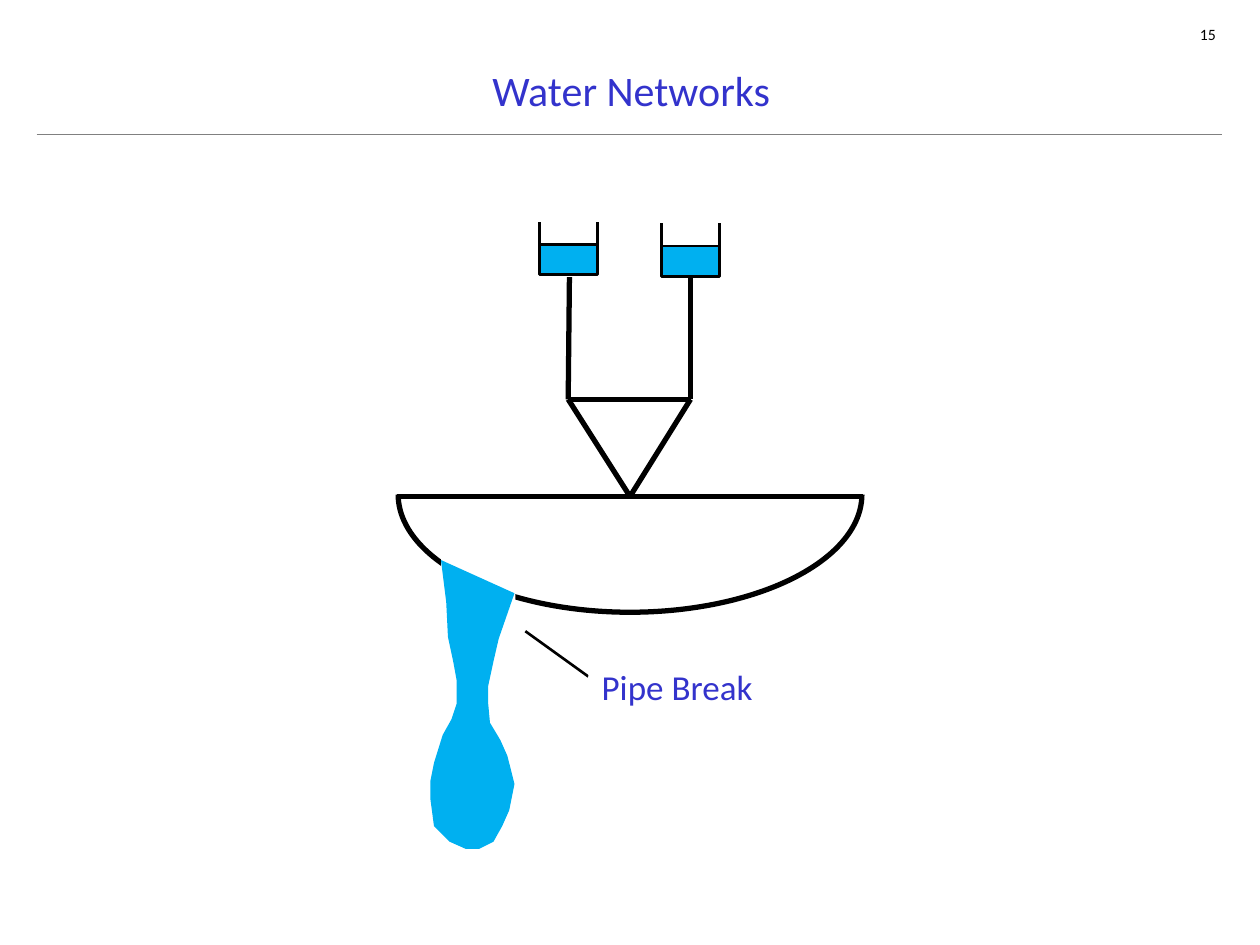
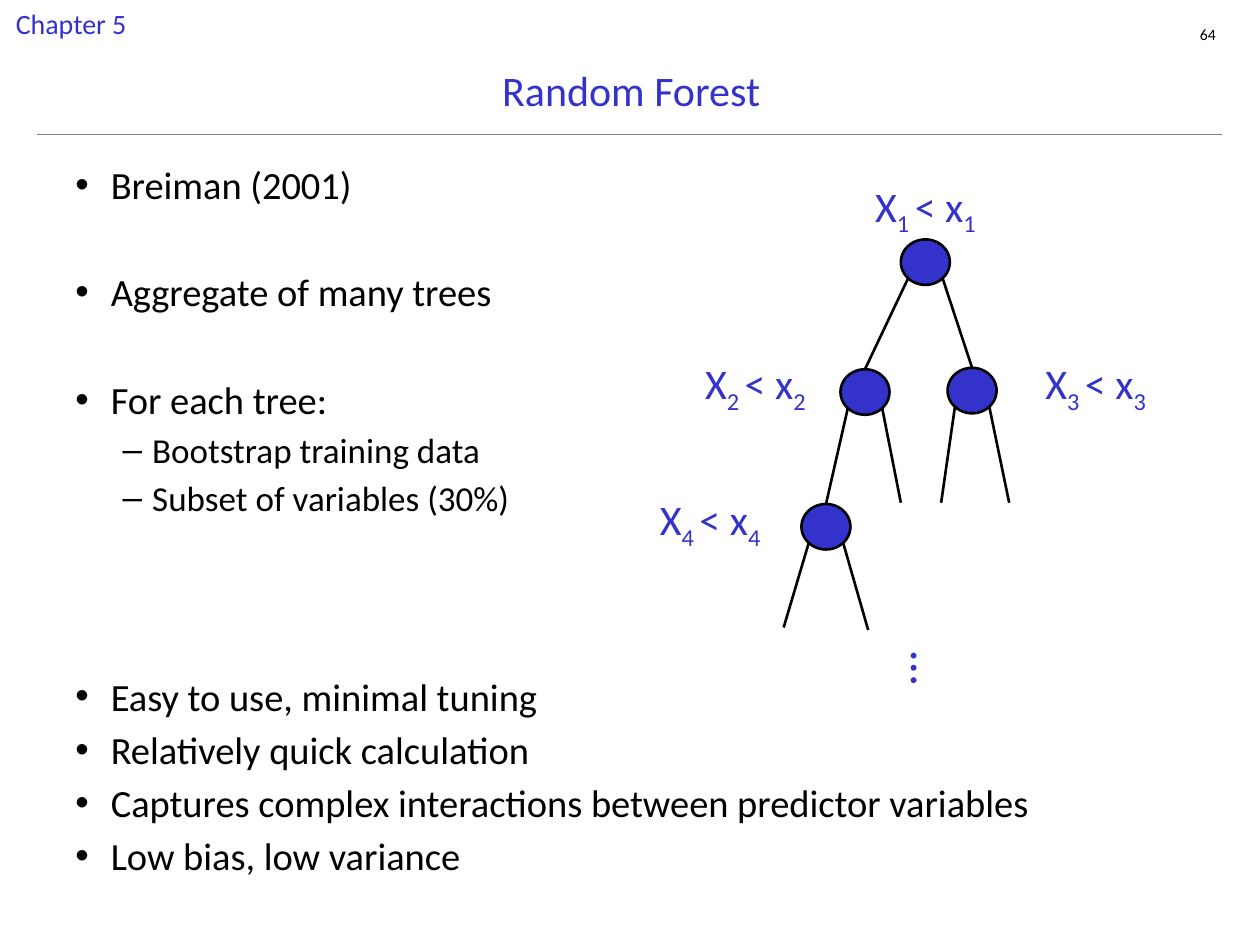
import pptx
import pptx.util
import pptx.dml.color
import pptx.enum.shapes
import pptx.enum.text
import pptx.oxml.ns
from lxml import etree

Pt = pptx.util.Pt
RGB = pptx.dml.color.RGBColor
SHAPE = pptx.enum.shapes.MSO_SHAPE
ALIGN = pptx.enum.text.PP_ALIGN
ANCHOR = pptx.enum.text.MSO_ANCHOR
qn = pptx.oxml.ns.qn

BLUE = RGB(0x33, 0x33, 0xCC)
WATER = RGB(0x00, 0xB0, 0xF0)
BLACK = RGB(0, 0, 0)
WHITE = RGB(255, 255, 255)
GRAY = RGB(0x80, 0x80, 0x80)
FONT = "Calibri"

# Water network: joints, pipes between them, tanks and the leak
JOINTS = {
    "tank1": (325.4, 158.4), "tank2": (394.6, 159.1),
    "left": (324.7, 228.2), "right": (394.6, 228.2),
    "low": (360, 283.7), "west": (226.8, 283.7), "east": (493.2, 283.7),
}
PIPES = [
    ("tank2", "right"), ("tank1", "left"), ("west", "low"), ("left", "right"),
    ("left", "low"), ("right", "low"), ("low", "east"),
]
TANKS = [(308.2, 126.7), (378, 127.6)]
LEAK = [
    (252, 319.7), (254.9, 344.2), (255.6, 363.6), (259.2, 378),
    (260.6, 388.8), (260.6, 401.8), (258.5, 411.1), (252.7, 420.5),
    (248.4, 435.6), (246.2, 446.4), (245.5, 457.2), (248.4, 471.6),
    (257, 481), (266.4, 485.3), (273.6, 485.3), (281.5, 481),
    (286.6, 472.3), (290.9, 463), (293.8, 447.8), (290.2, 432),
    (285.8, 422.6), (280.1, 412.6), (278.6, 402.5), (279.4, 391.7),
    (282.2, 378), (285.1, 365), (294.5, 339.1),
]

# Forest: (level, space before, text)
POINTS = [
    (0, 0, "Breiman (2001)"),
    (0, 34.9, "Aggregate of many trees"),
    (0, 34.9, "For each tree:"),
    (1, 3.6, "Bootstrap training data"),
    (1, 3.6, "Subset of variables (30%)"),
    (0, 88, "Easy to use, minimal tuning"),
    (0, 4, "Relatively quick calculation"),
    (0, 4, "Captures complex interactions between predictor variables"),
    (0, 4, "Low bias, low variance"),
]
LEVELS = [("•", 22, 20.25, -20.25), ("–", 20, 43.9, -16.9)]  # mark, size, indents

# Tree node: top centre, label corner, and two branches (node or loose end)
NODES = {
    1: ((528.8, 136.8), (486, 99.4), (2, 3)),
    2: ((494.3, 211), (388.8, 200.9), (4, (514.8, 287.3))),
    3: ((555.5, 210.2), (583.2, 200.9), ((537.8, 287.3), (576.7, 287.3))),
    4: ((472, 288), (362.9, 278.6), ((447.8, 358.6), (496.1, 360))),
}
NODE_W, NODE_H = 28, 26
CORNER = 0.35  # share of the diameter from centre to a 45° point


def line(slide, start, end, width, color=BLACK):
    ends = [Pt(v) for v in (*start, *end)]
    rule = slide.shapes.add_connector(
        pptx.enum.shapes.MSO_CONNECTOR.STRAIGHT, *ends)
    rule.line.color.rgb = color
    rule.line.width = Pt(width)
    etree.SubElement(rule._element.spPr, qn("a:effectLst"))


def paint(item, fill=None, width=0):
    """Set fill and outline, and drop the shadow."""
    item.shadow.inherit = False
    if fill is None:
        item.fill.background()
    else:
        item.fill.solid()
        item.fill.fore_color.rgb = fill
    if width:
        item.line.color.rgb = BLACK
        item.line.width = Pt(width)
    else:
        item.line.fill.background()


def shape(slide, kind, box, fill=None, width=0):
    item = slide.shapes.add_shape(kind, *[Pt(v) for v in box])
    paint(item, fill, width)
    return item


def style(run, size, color):
    run.font.name = FONT
    run.font.size = Pt(size)
    run.font.color.rgb = color


def text(slide, box, words, size, color=BLUE, align=ALIGN.CENTER,
         wrap=False, fill=None):
    """Add a text box; words is a list of runs."""
    item = slide.shapes.add_textbox(*[Pt(v) for v in box])
    if fill is not None:
        item.fill.solid()
        item.fill.fore_color.rgb = fill
    frame = item.text_frame
    frame.word_wrap = wrap
    para = frame.paragraphs[0]
    para.alignment = align
    for word in words:
        run = para.add_run()
        run.text = word
        style(run, size, color)
    return frame


def base(deck, title, number):
    """Add a slide with its title, rule and page number."""
    slide = deck.slides.add_slide(deck.slide_layouts[6])
    page = text(slide, (644.4, 14.4, 50.4, 10.8), [number], 9, BLACK,
                ALIGN.RIGHT, True)
    page.margin_left = page.margin_right = 0
    page.margin_top = page.margin_bottom = 0
    line(slide, (20.9, 77), (698.4, 77), 0.75, GRAY)
    head = text(slide, (36.7, 31.7, 648, 39.6), [title], 24, wrap=True)
    head.vertical_anchor = ANCHOR.MIDDLE
    return slide


def tank(slide, left, top):
    wide, deep = 33.1, 21.6
    shape(slide, SHAPE.RECTANGLE, (left, top + 13, wide, 17.3), WATER, 1.5)
    for x in (left, left + wide):
        line(slide, (x, top + deep), (x, top), 1.5)


def water(deck):
    slide = base(deck, "Water Networks", "15")
    arc = shape(slide, SHAPE.ARC, (227.5, 215.3, 265, 134.6), width=3)
    arc.adjustments[0] = 0
    arc.adjustments[1] = 108
    for start, end in PIPES:
        line(slide, JOINTS[start], JOINTS[end], 3)
    line(slide, (300.2, 360.7), (336.2, 386.6), 1.5)
    text(slide, (336.2, 376.6, 101.5, 31.7), ["Pipe Break"], 20, fill=WHITE)
    shape(slide, SHAPE.RECTANGLE, (252, 315.4, 42.5, 34.6), WHITE)
    pen = slide.shapes.build_freeform(*LEAK[0], scale=Pt(1))
    pen.add_line_segments(LEAK[1:], close=True)
    paint(pen.convert_to_shape(), WATER)
    for left, top in TANKS:
        tank(slide, left, top)


def bullets(slide):
    frame = text(slide, (36, 88.6, 648, 424.8), [], 22, wrap=True)
    for i, (level, gap, words) in enumerate(POINTS):
        para = frame.add_paragraph() if i else frame.paragraphs[0]
        mark, size, left, hang = LEVELS[level]
        para.text = words
        para.alignment = ALIGN.LEFT
        para.level = level
        if gap:
            para.space_before = Pt(gap)
        props = para._p.get_or_add_pPr()
        props.set("marL", str(Pt(left)))
        props.set("indent", str(Pt(hang)))
        etree.SubElement(props, qn("a:buFont")).set("typeface", "Arial")
        etree.SubElement(props, qn("a:buChar")).set("char", mark)
        style(para.runs[0], size, BLACK)


def tree(slide):
    for key, (_, spot, _) in NODES.items():
        frame = text(slide, (*spot, 85.7, 36),
                     ["X", f"{key} ", "< x", f"{key}"], 24, fill=WHITE)
        for run in frame.paragraphs[0].runs[1::2]:
            run._r.get_or_add_rPr().set("baseline", "-25000")
    for (x, y), _, limbs in NODES.values():
        shape(slide, SHAPE.OVAL, (x - NODE_W / 2, y, NODE_W, NODE_H), BLUE, 1.5)
        for side, limb in zip((-1, 1), limbs):
            start = (x + side * CORNER * NODE_W, y + (0.5 + CORNER) * NODE_H)
            line(slide, start, NODES[limb][0] if limb in NODES else limb, 1.5)
    dots = text(slide, (504, 365, 48.2, 35.3), ["…"], 28)
    dots._txBody.bodyPr.set("vert", "eaVert")


def forest(deck):
    slide = base(deck, "Random Forest", "64")
    bullets(slide)
    text(slide, (0, 0, 81.4, 26.6), ["Chapter 5"], 16, fill=WHITE)
    tree(slide)


def main():
    deck = pptx.Presentation()
    deck.slide_width, deck.slide_height = Pt(720), Pt(540)
    water(deck)
    forest(deck)
    deck.save("out.pptx")


if __name__ == "__main__":
    main()
